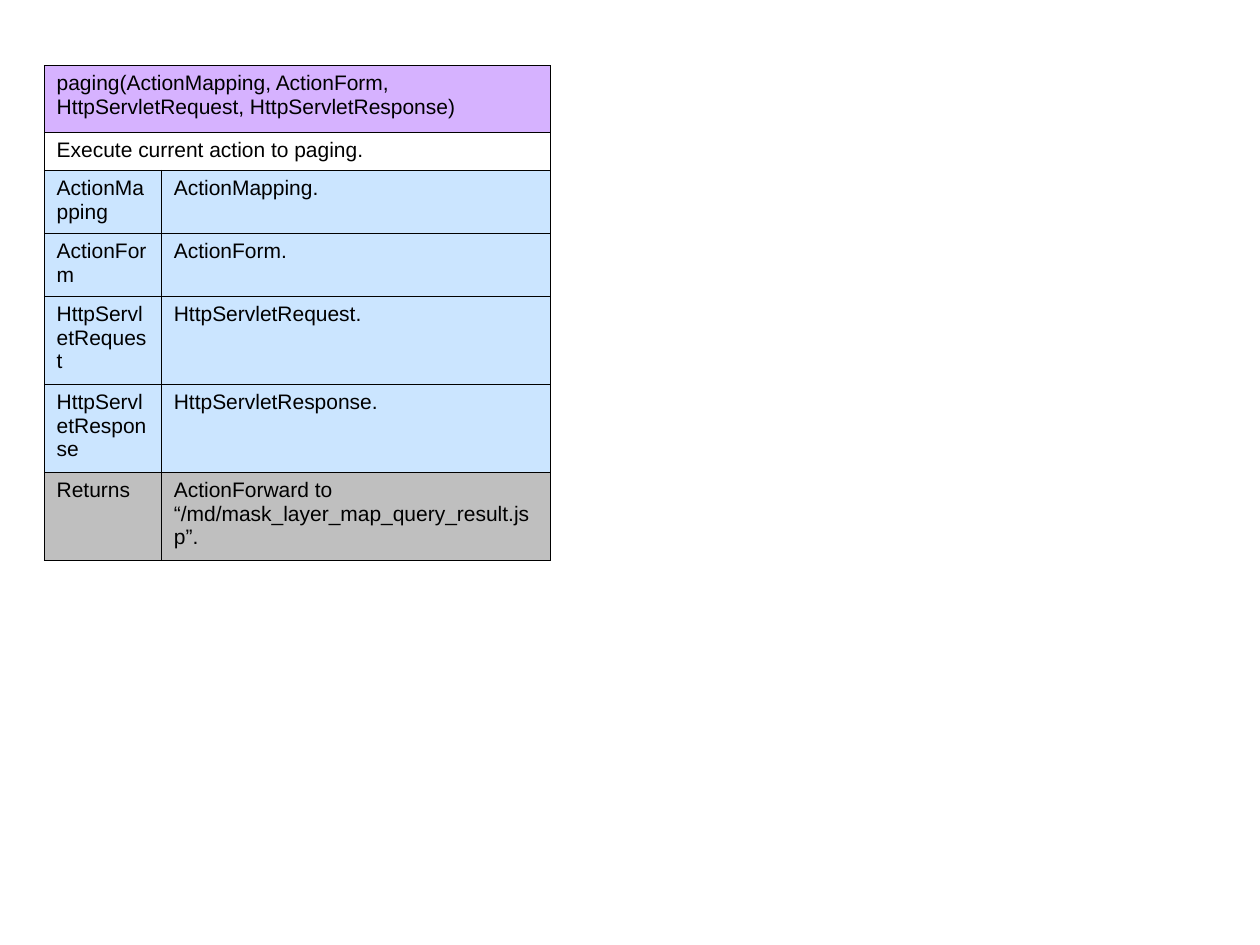
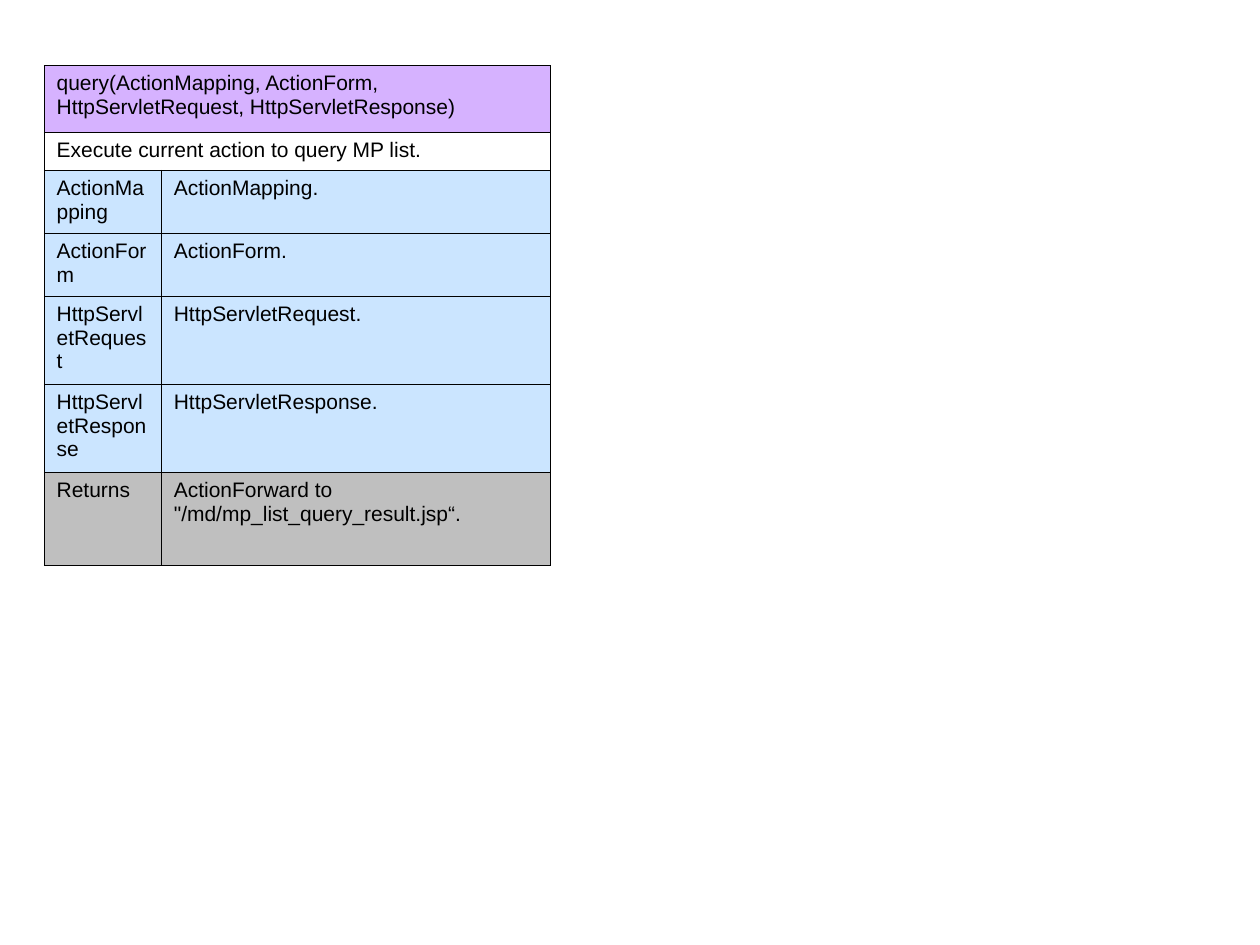
import pptx
import pptx.dml.color
import pptx.oxml
import pptx.oxml.ns
import pptx.util
from pptx.util import Inches

BLACK = pptx.dml.color.RGBColor(0x00, 0x00, 0x00)
PURPLE = pptx.dml.color.RGBColor(0xAF, 0x67, 0xFF)
BLUE = pptx.dml.color.RGBColor(0x99, 0xCC, 0xFF)
GRAY = pptx.dml.color.RGBColor(0x80, 0x80, 0x80)

PARAMETERS = ["ActionMapping", "ActionForm", "HttpServletRequest", "HttpServletResponse"]
COLUMN_WIDTHS = [0.93, 3.09]
ROW_HEIGHTS = [0.53, 0.3, 0.5, 0.5, 0.7, 0.7]  # all rows above "Returns"
BORDER_WIDTH = pptx.util.Pt(0.45)

# method name, description, returned value, height of the "Returns" row
METHODS = [
    ("paging", "Execute current action to paging.",
     "ActionForward to “/md/mask_layer_map_query_result.jsp”.", 0.7),
    ("query", "Execute current action to query MP list.",
     "ActionForward to \"/md/mp_list_query_result.jsp“.", 0.74),
]


class MethodDeck:
    font_name = "Arial"
    font_size = pptx.util.Pt(12)

    def __init__(self):
        self.presentation = pptx.Presentation()
        self.presentation.slide_width = Inches(10)
        self.presentation.slide_height = Inches(7.5)
        self.slide = None

    def add_slide(self):
        self.slide = self.presentation.slides.add_slide(self.presentation.slide_layouts[6])

    def write_cell(self, cell, text):
        run = cell.text_frame.paragraphs[0].add_run()
        run.text = text
        run.font.name = self.font_name
        run.font.size = self.font_size
        run.font.color.rgb = BLACK

    def fill_cell(self, cell, color):
        """Fill with the colour at half opacity, or leave clear for None."""
        if color is None:
            cell.fill.background()
            return
        cell.fill.solid()
        cell.fill.fore_color.rgb = color
        color_element = cell._tc.tcPr.find(".//" + pptx.oxml.ns.qn("a:srgbClr"))
        color_element.append(pptx.oxml.parse_xml(
            f'<a:alpha {pptx.oxml.ns.nsdecls("a")} val="50000"/>'))

    def border_cell(self, cell):
        properties = cell._tc.get_or_add_tcPr()
        for position, side in enumerate("LRTB"):
            properties.insert(position, pptx.oxml.parse_xml(
                f'<a:ln{side} {pptx.oxml.ns.nsdecls("a")} w="{BORDER_WIDTH}">'
                f'<a:solidFill><a:srgbClr val="{BLACK}"/></a:solidFill></a:ln{side}>'))

    def add_method_table(self, name, description, returned, returns_height):
        rows = [(PURPLE, [f"{name}({', '.join(PARAMETERS)})"]), (None, [description])]
        rows += [(BLUE, [parameter, f"{parameter}."]) for parameter in PARAMETERS]
        rows.append((GRAY, ["Returns", returned]))
        heights = ROW_HEIGHTS + [returns_height]

        table = self.slide.shapes.add_table(
            len(rows), len(COLUMN_WIDTHS), Inches(0.35), Inches(0.52),
            Inches(sum(COLUMN_WIDTHS)), Inches(sum(heights))).table
        table.first_row = False
        table.horz_banding = False
        for column, width in zip(table.columns, COLUMN_WIDTHS):
            column.width = Inches(width)
        for row, height, (color, texts) in zip(table.rows, heights, rows):
            row.height = Inches(height)
            cells = list(row.cells)
            if len(texts) == 1:
                cells[0].merge(cells[-1])
            for cell, text in zip(cells, texts):
                self.write_cell(cell, text)
            for cell in cells:
                self.fill_cell(cell, color)
                self.border_cell(cell)


def main():
    deck = MethodDeck()
    for method in METHODS:
        deck.add_slide()
        deck.add_method_table(*method)
    deck.presentation.save("out.pptx")


if __name__ == "__main__":
    main()
